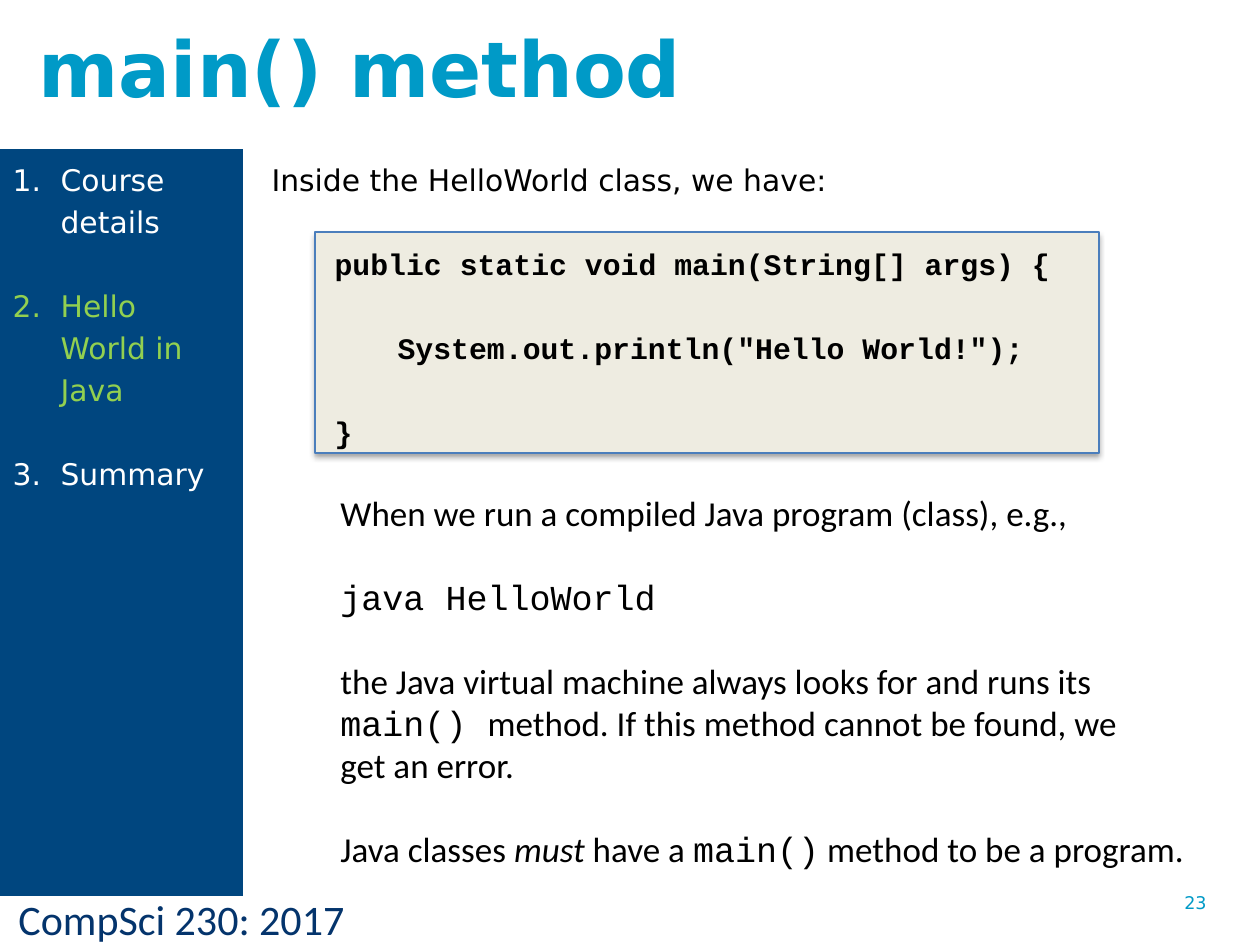
from lxml.etree import SubElement
from pptx import Presentation
from pptx.dml.color import RGBColor
from pptx.enum.shapes import MSO_SHAPE
from pptx.enum.text import MSO_ANCHOR, MSO_AUTO_SIZE, PP_ALIGN
from pptx.oxml.ns import qn
from pptx.util import Pt

PX = 914400 / 126
SANS, CODE, TEXT = "DejaVu Sans", "Courier New", "Calibri"
BLACK, WHITE, CYAN, NAVY, GREEN = "000000", "FFFFFF", "009AC7", "00467F", "92D050"
LINE = 24  # points from line to line

TITLE = "main() method"
AGENDA = [("Course details", WHITE), ("Hello World in Java", GREEN), ("Summary", WHITE)]
INTRO = "Inside the HelloWorld class, we have:"
CODE_LINES = [  # text, indent level
    ("public static void main(String[] args) {", 1),
    ('System.out.println("Hello World!");', 2),
    ("}", 1),
]
BREAK = None
EXPLANATION = [  # paragraphs of (text, font, italic) runs
    [("When we run a compiled Java program (class), e.g.,", TEXT, False)],
    [("java HelloWorld", CODE, False)],
    [("the Java virtual machine always looks for and runs its", TEXT, False), BREAK,
     ("main() ", CODE, False),
     ("method. If this method cannot be found, we", TEXT, False), BREAK,
     ("get an error.", TEXT, False)],
    [("Java classes ", TEXT, False), ("must", TEXT, True), (" have a ", TEXT, False),
     ("main()", CODE, False), (" method to be a program.", TEXT, False)],
]
COURSE, PAGE = "CompSci 230: 2017", "23"


def px(value):
    return round(value * PX)


def color(value):
    return RGBColor.from_string(value)


def place(shape, left, top, width, height):
    shape.left, shape.top = px(left), px(top)
    shape.width, shape.height = px(width), px(height)


def style(run, font, size, hex_color, bold=False, italic=False):
    run.font.name, run.font.size = font, Pt(size)
    run.font.bold, run.font.italic = bold, italic
    run.font.color.rgb = color(hex_color)


def prepare(shape, anchor=MSO_ANCHOR.TOP):
    frame = shape.text_frame
    frame.word_wrap = True
    frame.auto_size = MSO_AUTO_SIZE.NONE
    frame.vertical_anchor = anchor
    return frame


def next_paragraph(frame, index):
    """Use the first paragraph, then add more, each one blank line below the last."""
    paragraph = frame.add_paragraph() if index else frame.paragraphs[0]
    paragraph.alignment = PP_ALIGN.LEFT
    paragraph.space_before = Pt(LINE if index else 0)
    return paragraph


def body_line(frame, index, text, left=0, numbered=False):
    paragraph = next_paragraph(frame, index)
    paragraph.text = text
    paragraph.line_spacing = Pt(LINE)
    properties = paragraph._p.get_or_add_pPr()
    properties.set("marL", str(px(left)))
    properties.set("indent", str(px(-left if numbered else 0)))
    if numbered:
        SubElement(properties, qn("a:buFont"), typeface="+mj-lt")
        SubElement(properties, qn("a:buAutoNum"), type="arabicPeriod")
    else:
        SubElement(properties, qn("a:buNone"))
    return paragraph.runs[0]


def add_label(slide, box, text, font, size, hex_color):
    frame = prepare(slide.shapes.add_textbox(*map(px, box)))
    frame.text = text
    style(frame.paragraphs[0].runs[0], font, size, hex_color)


def add_code_panel(slide, behind):
    panel = slide.shapes.add_shape(MSO_SHAPE.RECTANGLE, *map(px, (315, 232, 784, 221)))
    panel.fill.solid()
    panel.fill.fore_color.rgb = color("EEECE1")
    panel.line.color.rgb = color("4B7EBC")
    panel.line.width = Pt(0.75)
    panel.shadow.inherit = False
    effects = panel.element.spPr.find(qn("a:effectLst"))
    shadow = SubElement(effects, qn("a:outerShdw"), blurRad=str(Pt(3.1)), dist=str(Pt(1.8)),
                        dir="5400000", rotWithShape="0")
    shade = SubElement(shadow, qn("a:srgbClr"), val=BLACK)
    SubElement(shade, qn("a:alpha"), val="35000")
    behind.element.addprevious(panel.element)


def main():
    presentation = Presentation()
    presentation.slide_width, presentation.slide_height = px(1260), px(945)
    slide = presentation.slides.add_slide(presentation.slide_layouts[3])
    title, body, sidebar = slide.placeholders

    place(title, 26, 18, 1106, 98)
    frame = prepare(title, MSO_ANCHOR.MIDDLE)
    frame.text = TITLE
    frame.paragraphs[0].alignment = PP_ALIGN.LEFT
    style(frame.paragraphs[0].runs[0], SANS, 44, CYAN, bold=True)

    place(body, 259, 149, 873, 626)
    frame = prepare(body)
    style(body_line(frame, 0, INTRO), SANS, 17, BLACK)
    for index, (text, level) in enumerate(CODE_LINES, 1):
        style(body_line(frame, index, text, 63 * level), CODE, 17, BLACK, bold=True)
    add_code_panel(slide, body)

    place(sidebar, 0, 149, 243, 747)
    sidebar.fill.solid()
    sidebar.fill.fore_color.rgb = color(NAVY)
    frame = prepare(sidebar)
    for index, (text, hex_color) in enumerate(AGENDA):
        style(body_line(frame, index, text, 48, numbered=True), SANS, 17, hex_color)

    frame = prepare(slide.shapes.add_textbox(*map(px, (328, 485, 877, 394))))
    for index, parts in enumerate(EXPLANATION):
        paragraph = next_paragraph(frame, index)
        for part in parts:
            if part is BREAK:
                paragraph.add_line_break()
                continue
            text, font, italic = part
            run = paragraph.add_run()
            run.text = text
            style(run, font, 20, BLACK, italic=italic)

    add_label(slide, (6, 887, 510, 58), COURSE, TEXT, 24, "04346C")
    add_label(slide, (1172, 886, 88, 59), PAGE, SANS, 10, CYAN)
    presentation.save("out.pptx")


if __name__ == "__main__":
    main()
